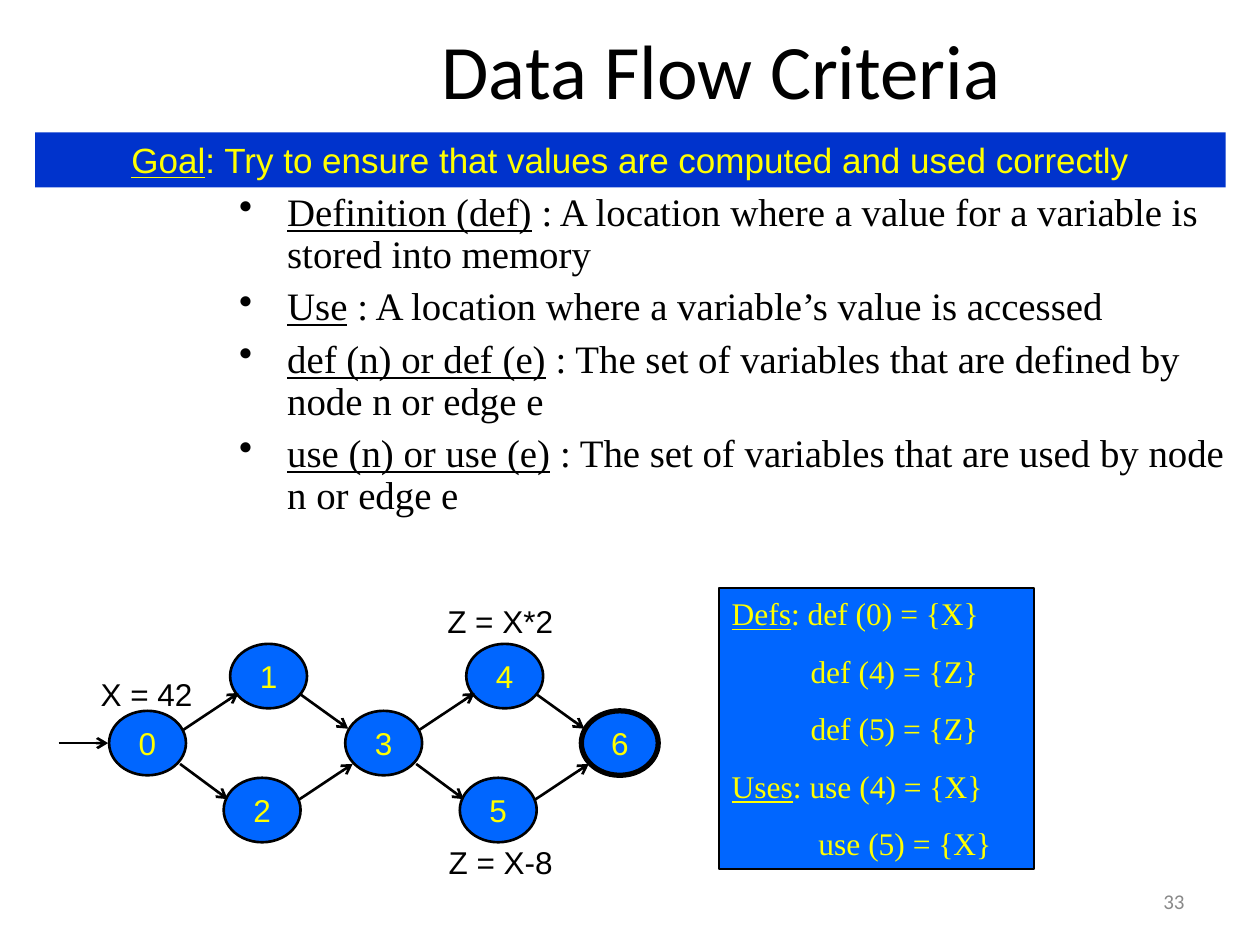
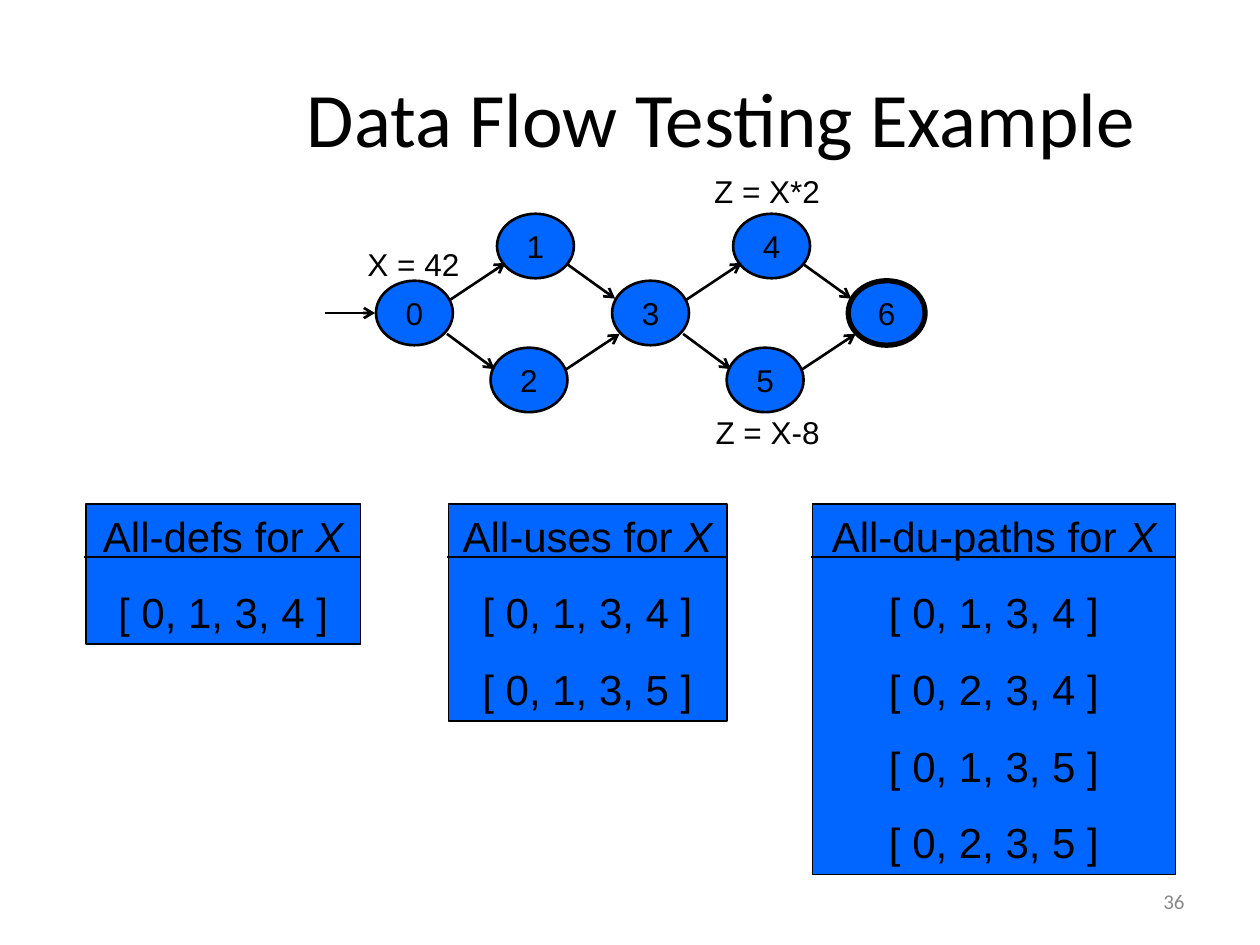
"""Build two slides on data flow testing with a shared flow graph."""
from lxml import etree
from pptx import Presentation
from pptx import util as u
from pptx.dml.color import RGBColor
from pptx.enum import shapes, text
from pptx.oxml.ns import qn

BLACK = RGBColor(0x00, 0x00, 0x00)
YELLOW = RGBColor(0xFF, 0xFF, 0x00)
GREY = RGBColor(0x89, 0x89, 0x89)
BAND_BLUE = RGBColor(0x00, 0x33, 0xCC)
NODE_BLUE = RGBColor(0x00, 0x66, 0xFF)
HEADING, SANS, SERIF = "Calibri", "Arial", "Times New Roman"
LEFT, CENTER, RIGHT = text.PP_ALIGN.LEFT, text.PP_ALIGN.CENTER, text.PP_ALIGN.RIGHT

DIAMOND_STEP = 4.76
NODE_WIDTH, NODE_HEIGHT = 1.55, 1.3
NODES = [(0, 0), (2.44, -1.35), (2.31, 1.35), (DIAMOND_STEP, 0),
         (DIAMOND_STEP + 2.44, -1.35), (DIAMOND_STEP + 2.31, 1.35),
         (2 * DIAMOND_STEP, 0)]
FINAL_NODE = 6
ENTRY = (-1.02, 0.65, -0.02, 0.65)
DIAMOND_EDGES = [(1.5, 0.38, 2.61, -0.36), (1.43, 1.07, 2.39, 1.78),
                 (3.86, -0.33, 4.82, 0.36), (3.81, 1.8, 4.91, 1.07)]
STATEMENTS = [("X = 42", -0.68, -0.84, 2.87), ("Z = X-8", 6.46, 2.54, 2.87),
              ("Z = X*2", 6.22, -2.31, 3.33)]

TERMS = [
    ("Definition (def)", "A location where a value for a variable is stored into memory"),
    ("Use", "A location where a variable’s value is accessed"),
    ("def (n) or def (e)", "The set of variables that are defined by node n or edge e"),
    ("use (n) or use (e)", "The set of variables that are used by node n or edge e"),
]
SETS = [([("Defs", "u"), (": def (0) = {X}", "")], 0),
        ([("def (4) = {Z}", "")], 1.59),
        ([("def (5) = {Z}", "")], 1.59),
        ([("Uses", "u"), (": use (4) = {X}", "")], 0),
        ([("use (5) = {X}", "")], 1.75)]
CRITERIA = [
    ("All-defs for ", 1.73, 5.54, ["[ 0, 1, 3, 4 ]"]),
    ("All-uses for ", 9.04, 5.61, ["[ 0, 1, 3, 4 ]", "[ 0, 1, 3, 5 ]"]),
    ("All-du-paths for ", 16.38, 7.32,
     ["[ 0, 1, 3, 4 ]", "[ 0, 2, 3, 4 ]", "[ 0, 1, 3, 5 ]", "[ 0, 2, 3, 5 ]"]),
]


class Deck:
    """Hold the style and the current slide."""

    def __init__(self):
        self.prs = Presentation()
        self.prs.slide_width, self.prs.slide_height = u.Cm(25.4), u.Cm(19.05)
        self.slide = None

    def new_slide(self, title, top, height, number):
        """Start a slide with its title and number."""
        self.slide = self.prs.slides.add_slide(self.prs.slide_layouts[5])
        heading = self.slide.shapes.title
        heading.left, heading.top = u.Cm(4.95), u.Cm(top)
        heading.width, heading.height = u.Cm(19.18), u.Cm(height)
        heading.text_frame.vertical_anchor = text.MSO_ANCHOR.MIDDLE
        self.fill_text(heading.text_frame, [[(title, "")]], 44, HEADING, BLACK, CENTER)
        footer = self.text_box((18.2, 17.65, 5.93, 1.02), [[(number, "")]],
                               12, HEADING, GREY, RIGHT)
        footer.vertical_anchor = text.MSO_ANCHOR.MIDDLE

    def fill_text(self, frame, paragraphs, size, font, color, align=LEFT, before=0):
        """Fill a frame with paragraphs of (wording, style) runs."""
        frame.word_wrap = True
        for index, runs in enumerate(paragraphs):
            paragraph = frame.paragraphs[0] if index == 0 else frame.add_paragraph()
            paragraph.alignment = align
            paragraph.space_before = u.Pt(before if index else 0)
            for wording, style in runs:
                run = paragraph.add_run()
                run.text = wording
                run.font.size, run.font.name = u.Pt(size), font
                run.font.color.rgb = color
                run.font.underline = style == "u"
                run.font.italic = style == "i"
        return frame

    def text_box(self, box, *content):
        """Add plain text in a box."""
        frame = self.slide.shapes.add_textbox(*map(u.Cm, box)).text_frame
        return self.fill_text(frame, *content)

    def indent(self, paragraph, left, first=0):
        """Set the left margin and first-line offset of a paragraph."""
        properties = paragraph._p.get_or_add_pPr()
        properties.set("marL", str(u.Cm(left)))
        properties.set("indent", str(u.Cm(first)))
        return properties

    def bullets(self, box, *content):
        """Add a bulleted list."""
        for paragraph in self.text_box(box, *content).paragraphs:
            paragraph.line_spacing = 0.9
            properties = self.indent(paragraph, 0.97, -0.97)
            etree.SubElement(properties, qn("a:buChar")).set("char", "•")

    def shape(self, kind, box, fill, line_width=0):
        """Add a filled shape, outlined in black if a line width is given."""
        shape = self.slide.shapes.add_shape(kind, *map(u.Cm, box))
        shape.shadow.inherit = False
        shape.fill.solid()
        shape.fill.fore_color.rgb = fill
        if line_width:
            shape.line.color.rgb = BLACK
            shape.line.width = u.Pt(line_width)
        else:
            shape.line.fill.background()
        return shape.text_frame

    def panel(self, box, fill, line_width, *content):
        """Add a rectangle with text from its top."""
        frame = self.shape(shapes.MSO_SHAPE.RECTANGLE, box, fill, line_width)
        frame.vertical_anchor = text.MSO_ANCHOR.TOP
        return self.fill_text(frame, *content)

    def node(self, label, x, y, line_width, color):
        """Add a numbered graph node."""
        frame = self.shape(shapes.MSO_SHAPE.OVAL, (x, y, NODE_WIDTH, NODE_HEIGHT),
                           NODE_BLUE, line_width)
        frame.margin_left = frame.margin_right = 0
        frame.margin_top = frame.margin_bottom = 0
        frame.vertical_anchor = text.MSO_ANCHOR.MIDDLE
        self.fill_text(frame, [[(label, "")]], 18, SANS, color, CENTER)

    def line(self, ends, arrow=False):
        """Add a straight black line or arrow."""
        line = self.slide.shapes.add_connector(
            shapes.MSO_CONNECTOR.STRAIGHT, *map(u.Cm, ends))
        line.line.color.rgb = BLACK
        line.line.width = u.Pt(1.5)
        properties = line._element.spPr
        if arrow:
            etree.SubElement(properties.get_or_add_ln(), qn("a:tailEnd")).set("type", "arrow")
        etree.SubElement(properties, qn("a:effectLst"))

    def flow_graph(self, x, y, color):
        """Draw the two-diamond flow graph with node 0 at x, y."""
        for index, (dx, dy) in enumerate(NODES):
            self.node(str(index), x + dx, y + dy, 3 if index == FINAL_NODE else 1.5, color)
        second_diamond = [(x1 + DIAMOND_STEP, y1, x2 + DIAMOND_STEP, y2)
                          for x1, y1, x2, y2 in DIAMOND_EDGES]
        for x1, y1, x2, y2 in [ENTRY] + DIAMOND_EDGES + second_diamond:
            self.line((x + x1, y + y1, x + x2, y + y2), arrow=True)
        for statement, dx, dy, width in STATEMENTS:
            self.text_box((x + dx, y + dy, width, 1.02), [[(statement, "")]],
                          18, SANS, BLACK, CENTER)


def criteria_slide(deck):
    """Define defs and uses and show them on the graph."""
    deck.new_slide("Data Flow Criteria", 0.18, 2.41, "33")
    deck.bullets((4.57, 3.76, 20.45, 7.92),
                 [[(term, "u"), (f" : {meaning}", "")] for term, meaning in TERMS],
                 22.2, SERIF, BLACK, LEFT, 6)
    goal = [("Goal", "u"), (": Try to ensure that values are computed and used correctly", "")]
    deck.panel((0.71, 2.67, 24, 1.11), BAND_BLUE, 0, [goal], 20, SANS, YELLOW, CENTER)
    deck.flow_graph(2.2, 14.33, YELLOW)
    sets = deck.panel((14.5, 11.86, 6.35, 5.66), NODE_BLUE, 1,
                      [runs for runs, _ in SETS], 18, SERIF, YELLOW, LEFT, 11.2)
    for paragraph, (_, left) in zip(sets.paragraphs, SETS):
        deck.indent(paragraph, left)


def example_slide(deck):
    """List the test paths for each criterion under the graph."""
    deck.new_slide("Data Flow Testing Example", 0.76, 3.18, "36")
    deck.flow_graph(7.58, 5.66, BLACK)
    top = 10.16
    for criterion, left, width, paths in CRITERIA:
        height = 2.82 + 1.55 * (len(paths) - 1)
        deck.panel((left, top, width, height), NODE_BLUE, 1,
                   [[(criterion, ""), ("X", "i")]] + [[(path, "")] for path in paths],
                   24, SANS, BLACK, CENTER, 15)
        deck.line((left - 0.03, top + 1.07, left + width, top + 1.07))


def main():
    """Build and save the slides."""
    deck = Deck()
    criteria_slide(deck)
    example_slide(deck)
    deck.prs.save("out.pptx")


if __name__ == "__main__":
    main()
